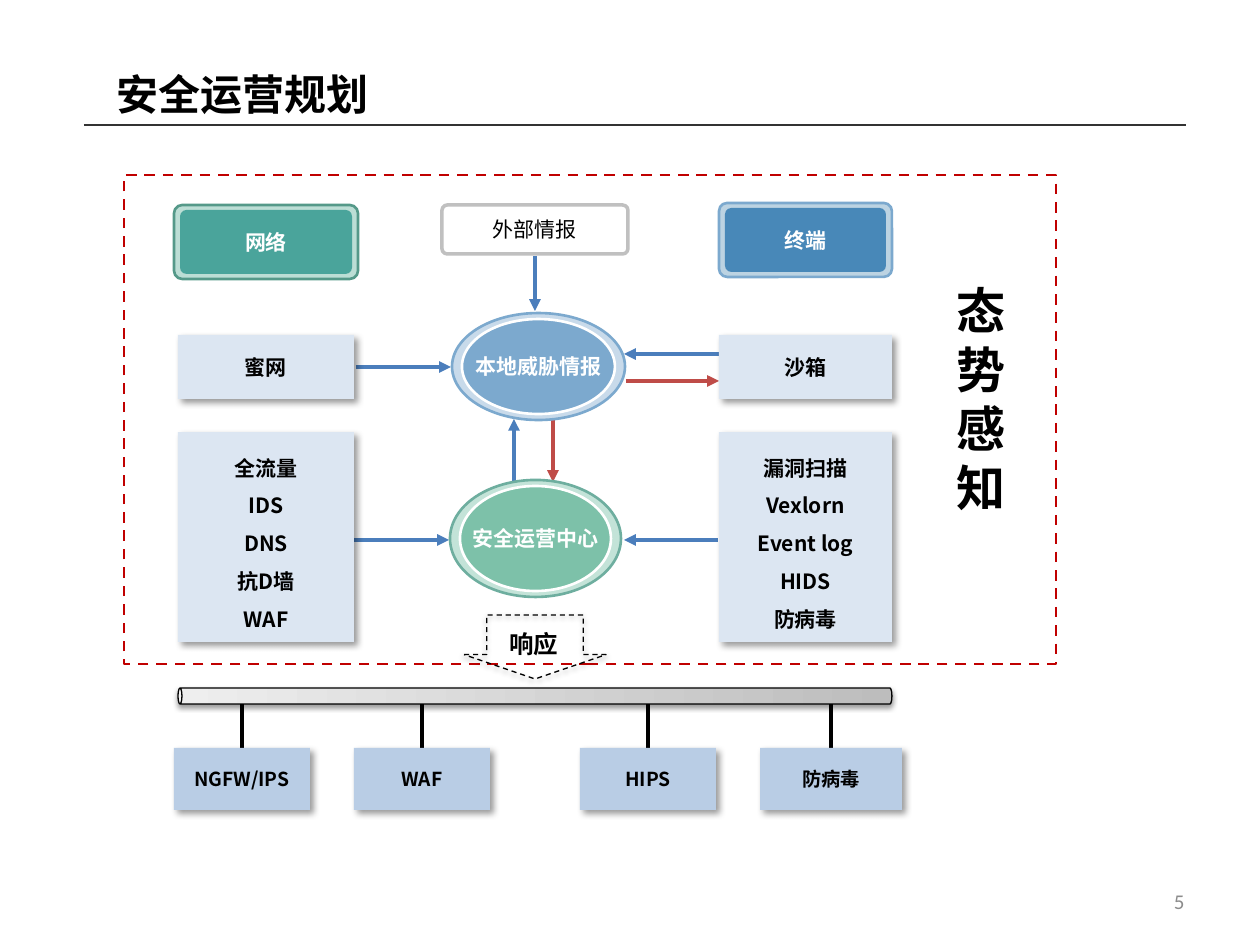
from lxml.etree import SubElement
from pptx import Presentation
from pptx.dml.color import RGBColor
from pptx.enum.dml import MSO_LINE_DASH_STYLE as DASH
from pptx.enum.shapes import MSO_CONNECTOR, MSO_SHAPE as SHAPE
from pptx.enum.text import MSO_ANCHOR as ANCHOR, PP_ALIGN as ALIGN
from pptx.oxml.ns import qn
from pptx.util import Emu, Pt

SCALE = 914400 / 126
CJK = "Noto Sans CJK SC"
COLORS = {
    "black": "000000", "white": "FFFFFF", "rule": "333333", "number": "8C8C8C",
    "silver": "C0C0C0", "frame": "C00000", "blue": "4B7EBC", "red": "BF4C48",
    "card": "DCE6F2", "device": "B9CDE5", "bus_dark": "BDBDBD", "bus_light": "EEEEEE",
    "net": "4AA49B", "net_rim": "BCDED5", "net_line": "559989",
    "end": "4888B8", "end_rim": "BCD3E2", "intel": "7CA9CE", "intel_rim": "C8DAEA",
    "center": "7DC1A9", "center_rim": "C3E3D8", "center_line": "6EAE9F",
}
CARD_SHADOW = (40, 4, 3, 45)
SOFT_SHADOW = (38, 3.1, 1.6, 90)


def px(value):
    return Emu(round(value * SCALE))


def color(name):
    return RGBColor.from_string(COLORS[name])


def write(shape, lines, size, ink="black", bold=True, align=ALIGN.CENTER,
          font=CJK, spacing=None, wrap=True, inset=None):
    frame = shape.text_frame
    frame.text = "\n".join(lines)
    frame.word_wrap = wrap
    frame.vertical_anchor = ANCHOR.MIDDLE
    if inset is not None:
        frame.margin_left = frame.margin_right = px(inset)
        frame.margin_top = frame.margin_bottom = px(inset)
    for para in frame.paragraphs:
        para.alignment = align
        para.line_spacing = spacing
        para.font.size = Pt(size)
        para.font.bold = bold
        para.font.color.rgb = color(ink)
        para.font.name = font
        props = para._p.get_or_add_pPr().get_or_add_defRPr()
        SubElement(props, qn("a:ea"), typeface=font)


def add_shadow(shape, opacity, blur, distance, angle):
    effects = shape._element.spPr.find(qn("a:effectLst"))
    shadow = SubElement(effects, qn("a:outerShdw"), blurRad=str(Pt(blur)), dist=str(Pt(distance)),
                        dir=str(angle * 60000), algn="ctr", rotWithShape="0")
    tint = SubElement(shadow, qn("a:srgbClr"), val=COLORS["black"])
    SubElement(tint, qn("a:alpha"), val=str(opacity * 1000))


def add_box(page, kind, box, fill=None, line=None, width=1.5, shadow=None, corner=None):
    shape = page.shapes.add_shape(kind, *map(px, box))
    shape.shadow.inherit = False
    if fill:
        shape.fill.solid()
        shape.fill.fore_color.rgb = color(fill)
    else:
        shape.fill.background()
    if line:
        shape.line.color.rgb = color(line)
        shape.line.width = Pt(width)
    else:
        shape.line.fill.background()
    if shadow:
        add_shadow(shape, *shadow)
    if corner:
        shape.adjustments[0] = corner
    return shape


def add_line(page, ends, ink, width=2.25, arrow=False):
    line = page.shapes.add_connector(MSO_CONNECTOR.STRAIGHT, *map(px, ends))
    line.line.color.rgb = color(ink)
    line.line.width = Pt(width)
    if arrow:
        SubElement(line.line._get_or_add_ln(), qn("a:tailEnd"), type="triangle")
    SubElement(line._element.spPr, qn("a:effectLst"))


def add_text(page, box, lines, size, **style):
    write(page.shapes.add_textbox(*map(px, box)), lines, size, **style)


def header(page, box, title, number):
    x, y, w, h = box
    holder = page.shapes.title
    holder.left, holder.top, holder.width, holder.height = map(px, (x + 20, y, 745, h))
    write(holder, [title], 24, align=ALIGN.LEFT)
    add_line(page, (x, y + h, x + w, y + h), "rule", 0.75)
    add_text(page, (x + w - 283, 876, 294, 50), [number], 12, ink="number",
             bold=False, align=ALIGN.RIGHT, font="Calibri")


def frame_region(page, box, label):
    x, y, w, h = box
    border = add_box(page, SHAPE.RECTANGLE, box, line="frame")
    border.line.dash_style = DASH.DASH
    add_text(page, (x + w - 100, y + 105, 49, 237), [label], 28, inset=0)
    for x1, y1, x2, y2, ink in [
        (411, 81, 411, 136, "blue"), (595, 179, 500, 179, "blue"),
        (502, 206, 595, 206, "red"), (232, 192, 327, 192, "blue"),
        (390, 307, 390, 244, "blue"), (429, 244, 429, 307, "red"),
        (229, 365, 325, 365, "blue"), (594, 365, 500, 365, "blue"),
    ]:
        add_line(page, (x + x1, y + y1, x + x2, y + y2), ink, arrow=True)


def source_column(page, box, outset, heading, colors, single, items):
    x, y, w, h = box
    fill, rim, line = colors
    left, wide = x - outset, w + 2 * outset
    add_box(page, SHAPE.ROUNDED_RECTANGLE, (left, y, wide, 74), rim, line, corner=0.11)
    badge = add_box(page, SHAPE.ROUNDED_RECTANGLE, (left + 6, y + 5, wide - 12, 64), fill, corner=0.1)
    write(badge, [heading], 12, ink="white")
    for top, height, lines, spacing in [(h - 307, 64, [single], None), (h - 210, 210, items, 1.5)]:
        card = add_box(page, SHAPE.RECTANGLE, (x, y + top, w, height), "card", shadow=CARD_SHADOW)
        write(card, lines, 12, spacing=spacing)


def hub(page, box, label, fill, rim, line):
    x, y, w, h = box
    add_box(page, SHAPE.OVAL, box, rim, line)
    core = add_box(page, SHAPE.OVAL, (x + 10, y + 6, w - 20, h - 12), fill, "white")
    write(core, [label], 12, ink="white", wrap=False, inset=0)


def center_column(page, box):
    x, y, w, h = box
    outside = add_box(page, SHAPE.ROUNDED_RECTANGLE, (x, y, w, 49), "white", "silver", 2, corner=0.11)
    write(outside, ["外部情报"], 12, bold=False, wrap=False)
    hub(page, (x + 10, y + 108, 173, 107), "本地威胁情报", "intel", "intel_rim", "intel")
    hub(page, (x + 8, y + 275, 171, 117), "安全运营中心", "center", "center_rim", "center_line")
    response = add_box(page, SHAPE.DOWN_ARROW, (x + 22, y + h - 64, 142, 64), line="black",
                       width=0.75, shadow=SOFT_SHADOW)
    response.line.dash_style = DASH.DASH
    response.adjustments[0], response.adjustments[1] = 0.68, 0.38
    add_text(page, (x + 55, y + h - 57, 74, 43), ["响应"], 14, wrap=False)


def device_bus(page, box, devices):
    x, y, w, h = box
    thick = 16
    bus = add_box(page, SHAPE.CAN, (x + (w - thick) / 2, y - (w - thick) / 2, thick, w),
                  "bus_light", "black", 0.75, SOFT_SHADOW)
    bus.rotation = 270
    bus.fill.gradient()
    bus.fill.gradient_angle = 90
    for stop, name in zip(bus.fill.gradient_stops, ("bus_dark", "bus_light")):
        stop.color.rgb = color(name)
    for offset, width, name in devices:
        middle = x + offset + width / 2
        add_line(page, (middle, y + h - 62, middle, y + thick), "black")
        card = add_box(page, SHAPE.RECTANGLE, (x + offset, y + h - 62, width, 62),
                       "device", shadow=CARD_SHADOW)
        write(card, [name], 11)


deck = Presentation()
deck.slide_width, deck.slide_height = px(1260), px(945)
page = deck.slides.add_slide(deck.slide_layouts[5])
header(page, (84, 62, 1102, 63), "安全运营规划", "5")
frame_region(page, (124, 175, 932, 489), "态势感知")
source_column(page, (178, 205, 176, 437), 4, "网络", ("net", "net_rim", "net_line"),
              "蜜网", ["全流量", "IDS", "DNS", "抗D墙", "WAF"])
source_column(page, (719, 203, 173, 439), 0, "终端", ("end", "end_rim", "intel"),
              "沙箱", ["漏洞扫描", "Vexlorn", "Event log", "HIDS", "防病毒"])
center_column(page, (442, 205, 186, 474))
device_bus(page, (178, 688, 714, 122),
           [(-4, 136, "NGFW/IPS"), (176, 136, "WAF"), (402, 136, "HIPS"), (582, 142, "防病毒")])
deck.save("out.pptx")
